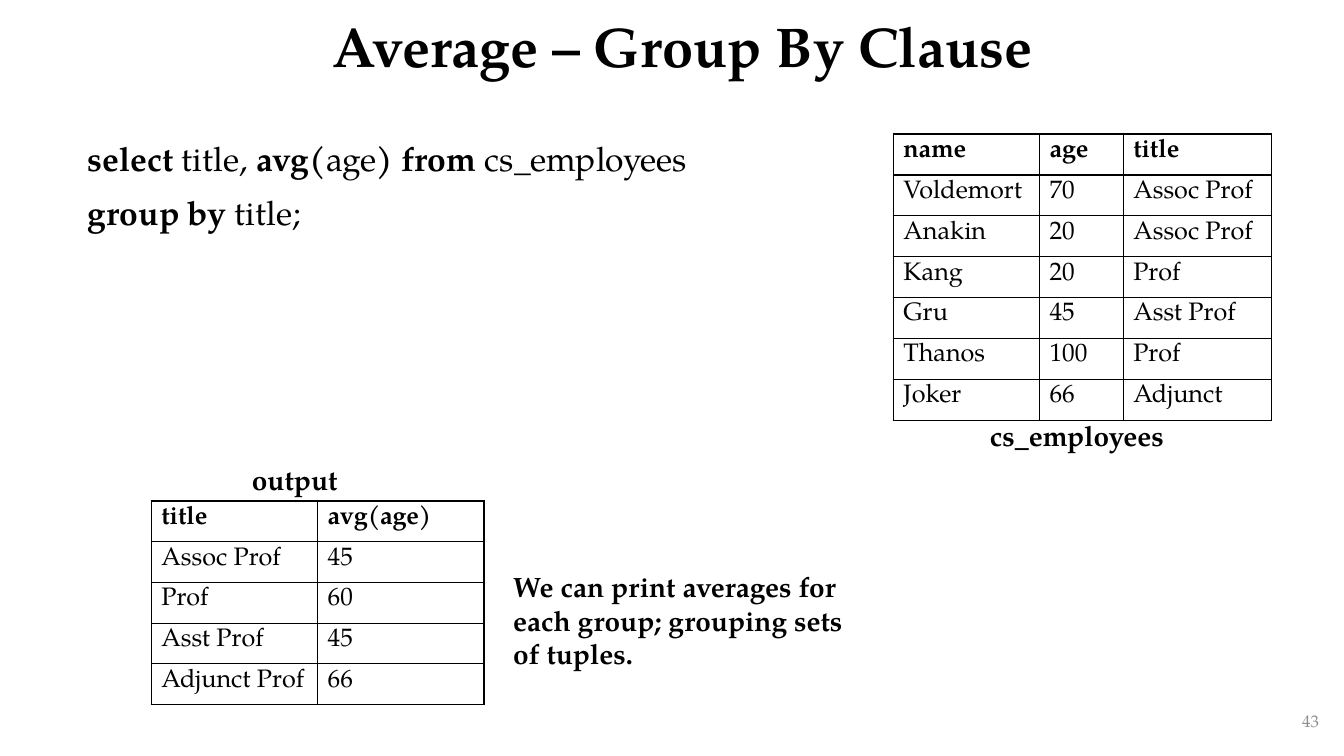
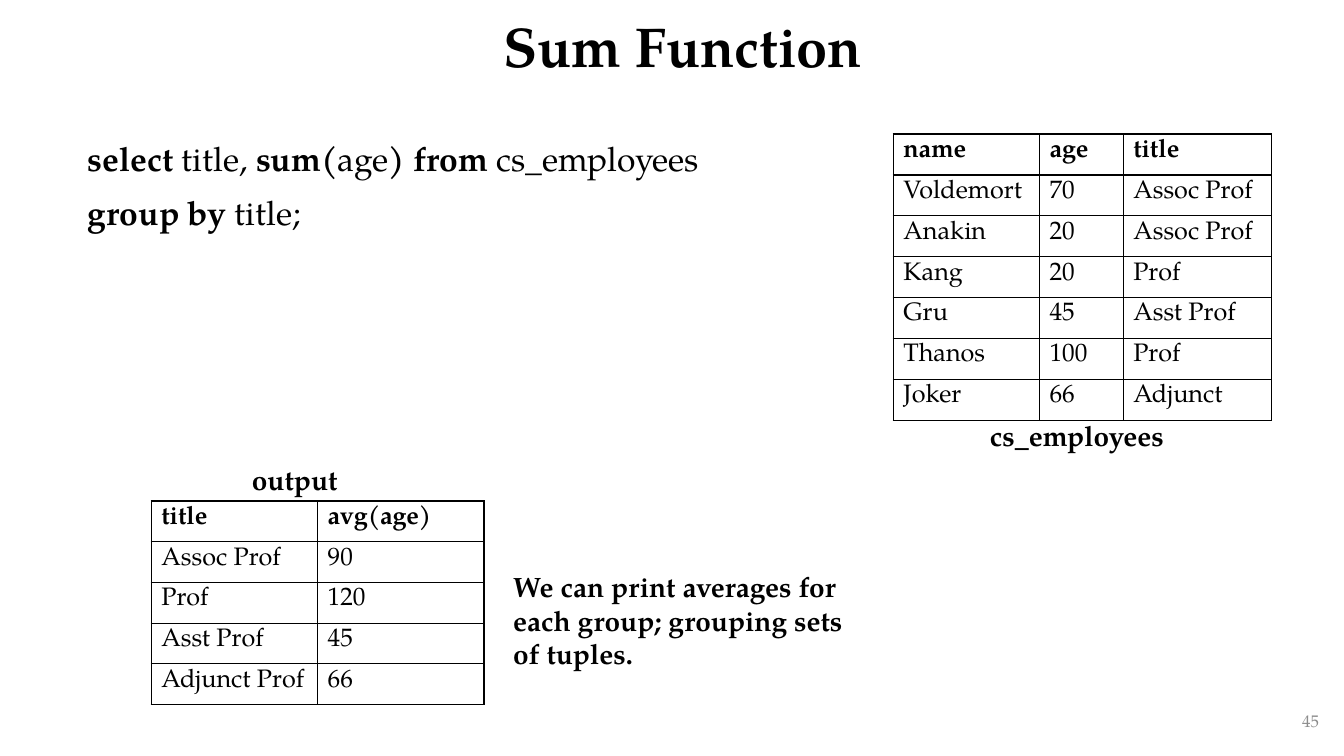
import lxml.etree
import pptx
import pptx.dml.color
import pptx.enum.text
import pptx.oxml.ns
import pptx.util

Inches = pptx.util.Inches
Pt = pptx.util.Pt
ALIGN = pptx.enum.text.PP_ALIGN
ANCHOR = pptx.enum.text.MSO_ANCHOR

COLOURS = {"ink": "000000", "muted": "8C8C8C", "paper": "FFFFFF"}
FONT = "TeX Gyre Pagella"

FORMATS = {
    "title": {"size": Pt(40), "bold": True},
    "query": {"size": Pt(24), "bold": False},
    "label": {"size": Pt(20), "bold": True},
    "header": {"size": Pt(18), "bold": True},
    "cell": {"size": Pt(18), "bold": False},
    "number": {"size": Pt(12), "bold": False},
}

BOXES = {
    "title": (1.02, 0, 11.5, 0.98),
    "query": (0.77, 1.32, 12.25, 5.58),
    "number": (10.18, 6.95, 3, 0.4),
    "employees": (8.86, 1.33, 3.75, 2.84),
    "employees label": (9.72, 4.1, 2.01, 0.44),
    "output label": (2.4, 4.54, 1.21, 0.44),
    "output": (1.5, 4.97, 3.3, 2.02),
    "remark": (4.99, 5.6, 3.79, 1.11),
}

EMPLOYEES = [
    ("name", "age", "title"),
    ("Voldemort", "70", "Assoc Prof"),
    ("Anakin", "20", "Assoc Prof"),
    ("Kang", "20", "Prof"),
    ("Gru", "45", "Asst Prof"),
    ("Thanos", "100", "Prof"),
    ("Joker", "66", "Adjunct"),
]
OUTPUT_HEADER = ("title", "avg(age)")
OUTPUT_TITLES = ("Assoc Prof", "Prof", "Asst Prof", "Adjunct Prof")
REMARK = "We can print averages for each group; grouping sets of tuples."

SLIDES = [
    {"title": "Average – Group By Clause", "function": "avg",
     "results": ("45", "60", "45", "66"), "number": "43"},
    {"title": "Sum Function", "function": "sum",
     "results": ("90", "120", "45", "66"), "number": "45"},
]


def rgb(colour):
    """Return the named colour."""
    return pptx.dml.color.RGBColor.from_string(COLOURS[colour])


def add_run(paragraph, text, style, colour="ink", **changes):
    """Append a run in the given text style."""
    run = paragraph.add_run()
    run.text = text
    for attribute, value in {"name": FONT, **FORMATS[style], **changes}.items():
        setattr(run.font, attribute, value)
    run.font.color.rgb = rgb(colour)


def add_frame(slide, box, anchor=ANCHOR.TOP):
    """Add a wrapping text box and return its text frame."""
    frame = slide.shapes.add_textbox(*map(Inches, box)).text_frame
    frame.word_wrap = True
    frame.vertical_anchor = anchor
    return frame


def add_line(slide, box, text, style, colour="ink", anchor=ANCHOR.TOP, **layout):
    """Add a text box with one paragraph."""
    paragraph = add_frame(slide, box, anchor).paragraphs[0]
    for attribute, value in layout.items():
        setattr(paragraph, attribute, value)
    add_run(paragraph, text, style, colour)


def add_query(slide, box, function):
    """Write the SQL query with bold keywords."""
    frame = add_frame(slide, box)
    lines = [
        [("select ", True), ("title,", False), (f" {function}(", True),
         ("age", False), (") from ", True), ("cs_employees", False)],
        [("group by ", True), ("title;", False)],
    ]
    for index, line in enumerate(lines):
        paragraph = frame.add_paragraph() if index else frame.paragraphs[0]
        paragraph.alignment = ALIGN.JUSTIFY
        if index:
            paragraph.space_before = Pt(10)
        for text, bold in line:
            add_run(paragraph, text, "query", bold=bold)


def add_borders(cell):
    """Draw a thin line on every side of a cell."""
    properties = cell._tc.get_or_add_tcPr()
    qn = pptx.oxml.ns.qn
    for side in ("a:lnL", "a:lnR", "a:lnT", "a:lnB"):
        line = lxml.etree.SubElement(properties, qn(side), w=str(Pt(1)))
        fill = lxml.etree.SubElement(line, qn("a:solidFill"))
        lxml.etree.SubElement(fill, qn("a:srgbClr"), val=COLOURS["ink"])


def add_grid(slide, box, rows, widths):
    """Add a ruled table with equal rows and a bold header."""
    table = slide.shapes.add_table(len(rows), len(widths), *map(Inches, box)).table
    table.first_row = table.horz_banding = False
    for column, width in zip(table.columns, widths):
        column.width = Inches(width)
    for r, values in enumerate(rows):
        table.rows[r].height = Inches(box[3] / len(rows))
        for c, value in enumerate(values):
            cell = table.cell(r, c)
            add_borders(cell)
            cell.fill.background()
            add_run(cell.text_frame.paragraphs[0], value, "cell" if r else "header")


def add_query_slide(deck, content):
    """Add a slide with a query, its source table and its output."""
    slide = deck.slides.add_slide(deck.slide_layouts[6])
    slide.background.fill.solid()
    slide.background.fill.fore_color.rgb = rgb("paper")
    add_query(slide, BOXES["query"], content["function"])
    add_line(slide, BOXES["number"], content["number"], "number", "muted",
             ANCHOR.MIDDLE, alignment=ALIGN.RIGHT)
    add_line(slide, BOXES["title"], content["title"], "title",
             anchor=ANCHOR.MIDDLE, alignment=ALIGN.CENTER, line_spacing=0.9)
    add_grid(slide, BOXES["employees"], EMPLOYEES, (1.45, 0.83, 1.47))
    add_line(slide, BOXES["employees label"], "cs_employees", "label")
    add_line(slide, BOXES["output label"], "output", "label")
    output = [OUTPUT_HEADER, *zip(OUTPUT_TITLES, content["results"])]
    add_grid(slide, BOXES["output"], output, (1.65, 1.65))
    add_line(slide, BOXES["remark"], REMARK, "label")


def main():
    """Build and save the deck."""
    deck = pptx.Presentation()
    deck.slide_width, deck.slide_height = Inches(13.33), Inches(7.5)
    for content in SLIDES:
        add_query_slide(deck, content)
    deck.save("out.pptx")


if __name__ == "__main__":
    main()
